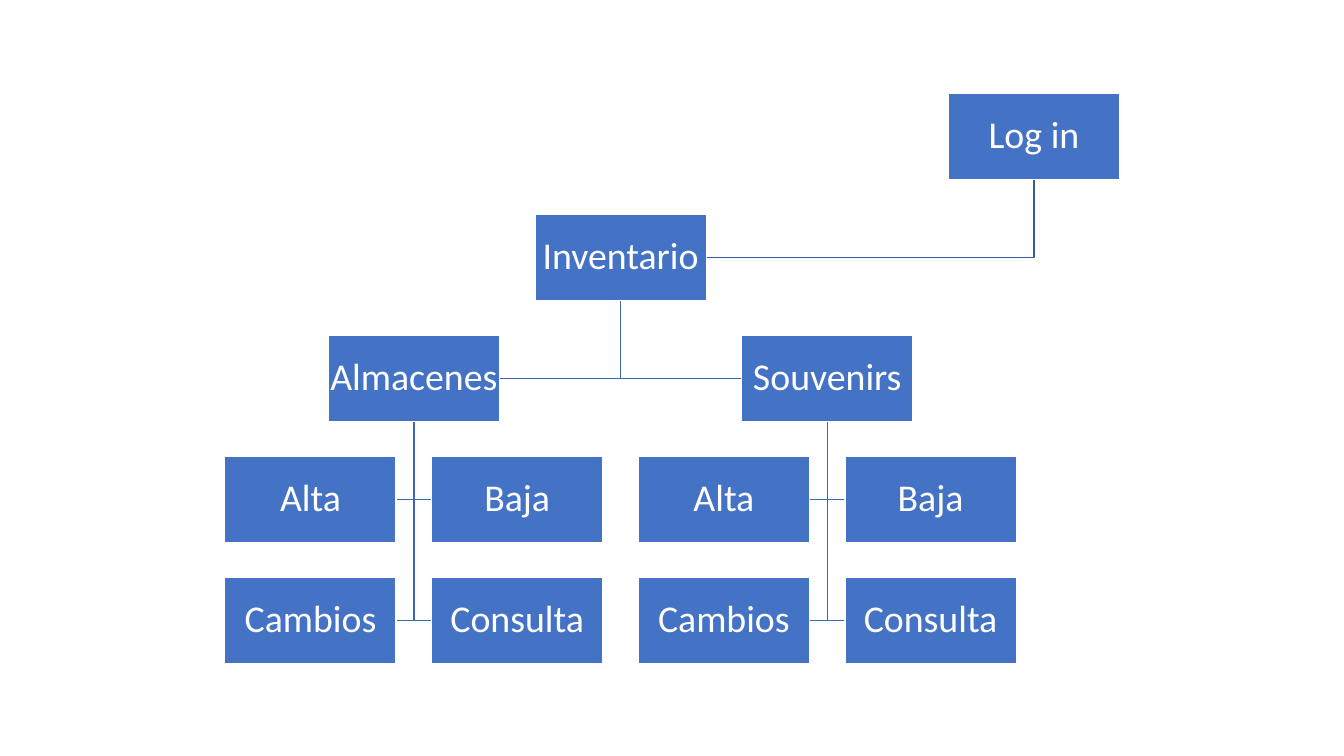
"""Build a slide with the organisation chart of an inventory system."""
from pptx import Presentation
from pptx.dml.color import RGBColor
from pptx.enum.shapes import MSO_SHAPE
from pptx.enum.text import MSO_ANCHOR, PP_ALIGN
from pptx.util import Inches, Pt

ACTIONS = [("Alta", -0.5, 1), ("Baja", 0.5, 1), ("Cambios", -0.5, 2), ("Consulta", 0.5, 2)]
BRANCHES = [("Almacenes", 0.5), ("Souvenirs", 2.5)]
LOGIN = ("Log in", 3.5, 0)
INVENTORY = ("Inventario", 1.5, 1)

BOX_WIDTH, BOX_HEIGHT = 1.7, 0.85
FIRST_CENTER, COLUMN_STEP = 3.08, 2.05
FIRST_TOP, ROW_STEP = 0.93, 1.2
BOX_FILL, WHITE = "4472C4", "FFFFFF"
LOGIN_LINE, BRANCH_LINE = "365B9D", "3E67B2"


def color(value):
    return RGBColor.from_string(value)


def position(node):
    name, column, row = node
    return FIRST_CENTER + column * COLUMN_STEP, FIRST_TOP + row * ROW_STEP


def add_text(shape, text, size=27, font="Calibri", text_color=WHITE):
    frame = shape.text_frame
    frame.word_wrap = False
    frame.vertical_anchor = MSO_ANCHOR.MIDDLE
    frame.margin_left = frame.margin_right = Inches(0.02)
    frame.margin_top = frame.margin_bottom = Inches(0.02)
    paragraph = frame.paragraphs[0]
    paragraph.alignment = PP_ALIGN.CENTER
    paragraph.line_spacing = 0.9
    run = paragraph.add_run()
    run.text = text
    run.font.size = Pt(size)
    run.font.name = font
    run.font.color.rgb = color(text_color)


def add_box(slide, node):
    center, top = position(node)
    shape = slide.shapes.add_shape(
        MSO_SHAPE.RECTANGLE, Inches(center - BOX_WIDTH / 2), Inches(top),
        Inches(BOX_WIDTH), Inches(BOX_HEIGHT))
    shape.shadow.inherit = False
    shape.fill.solid()
    shape.fill.fore_color.rgb = color(BOX_FILL)
    shape.line.color.rgb = color(WHITE)
    shape.line.width = Pt(1)
    add_text(shape, node[0])


def add_elbow(slide, parent, child, line_color):
    parent_center, parent_top = position(parent)
    child_center, child_top = position(child)
    side = 1 if child_center < parent_center else -1
    start_x, start_y = Inches(parent_center), Inches(parent_top + BOX_HEIGHT)
    end_x = Inches(child_center + side * BOX_WIDTH / 2)
    end_y = Inches(child_top + BOX_HEIGHT / 2)
    builder = slide.shapes.build_freeform(start_x, start_y)
    builder.add_line_segments([(start_x, end_y), (end_x, end_y)], close=False)
    shape = builder.convert_to_shape()
    shape.shadow.inherit = False
    shape.fill.background()
    shape.line.color.rgb = color(line_color)
    shape.line.width = Pt(1)


def main():
    presentation = Presentation()
    presentation.slide_width = Inches(13.33)
    presentation.slide_height = Inches(7.5)
    slide = presentation.slides.add_slide(presentation.slide_layouts[6])

    nodes = [LOGIN, INVENTORY]
    links = [(LOGIN, INVENTORY, LOGIN_LINE)]
    for name, column in BRANCHES:
        branch = (name, column, 2)
        actions = [(action, column + shift, 2 + depth) for action, shift, depth in ACTIONS]
        nodes += [branch] + actions
        links.append((INVENTORY, branch, BRANCH_LINE))
        links += [(branch, action, BRANCH_LINE) for action in actions]

    for parent, child, line_color in reversed(links):
        add_elbow(slide, parent, child, line_color)
    for node in nodes:
        add_box(slide, node)
    presentation.save("out.pptx")


if __name__ == "__main__":
    main()
